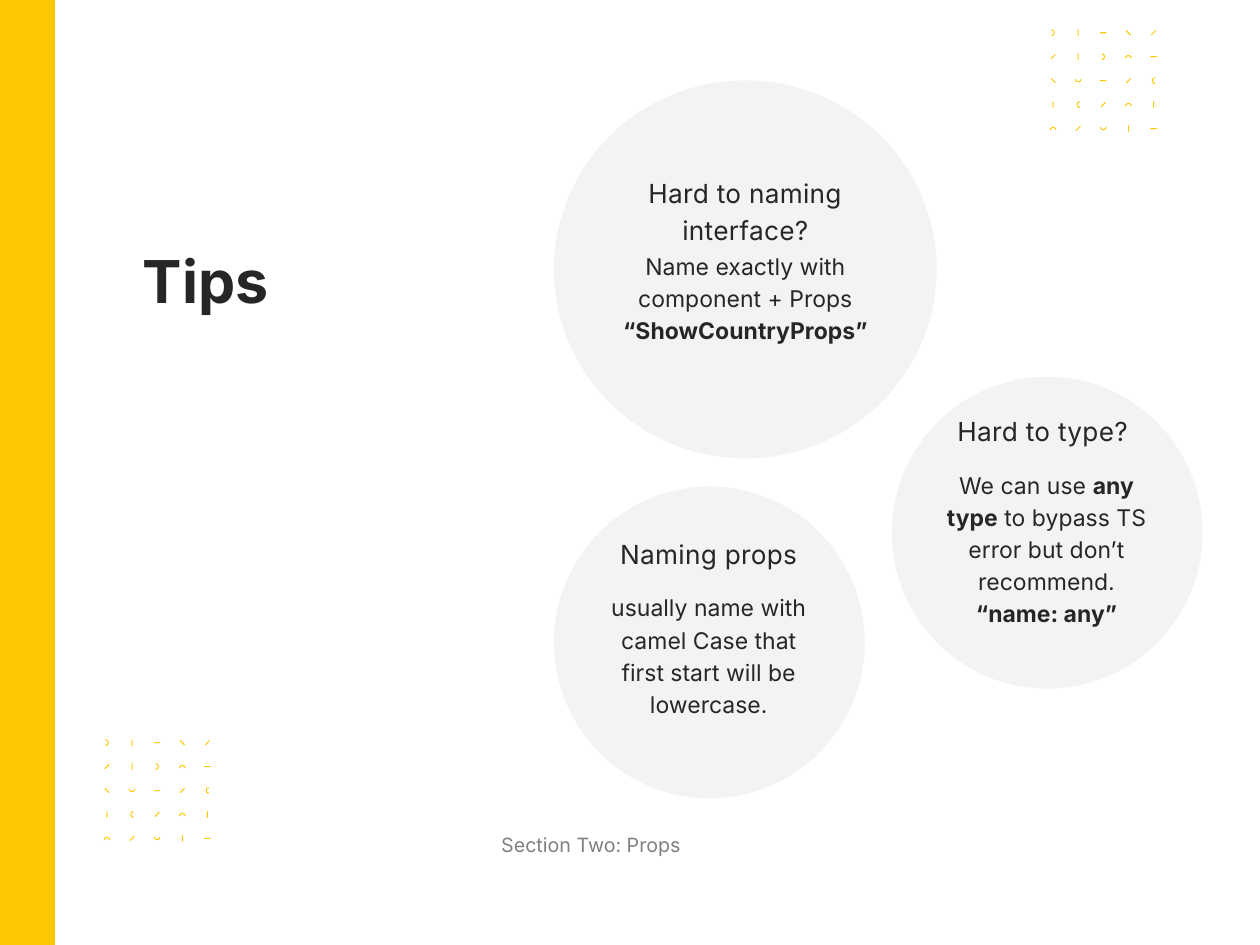
import math

from lxml import etree
from pptx import Presentation
from pptx.dml.color import RGBColor
from pptx.enum.shapes import MSO_SHAPE
from pptx.enum.text import MSO_ANCHOR, MSO_AUTO_SIZE, PP_ALIGN
from pptx.oxml.ns import qn
from pptx.util import Pt

OVAL, RECTANGLE = MSO_SHAPE.OVAL, MSO_SHAPE.RECTANGLE
TOP, MIDDLE = MSO_ANCHOR.TOP, MSO_ANCHOR.MIDDLE
LEFT, CENTER = PP_ALIGN.LEFT, PP_ALIGN.CENTER
TITLE_ONLY = 5

FONT = "Inter"
INK, GREY, YELLOW = "242725", "808080", "FEC800"

# Each tip: circle, heading and body places (left, top, width, height), then wording.
# Body paragraphs are lists of (text, bold) runs.
TIPS = [
    ((543.6, 229.7, 189.4, 190.1), (571.7, 249.8, 132.5, 20.2),
     (571.7, 284.4, 132.5, 99.4), "Hard to type? ",
     [[("We can use ", False), ("any type", True),
       (" to bypass TS error but don’t recommend.", False)],
      [("“name: any”", True)]]),
    ((337.7, 49, 233.3, 230.4), (369.4, 105.1, 169.9, 48.2),
     (369.4, 151.2, 169.9, 59), "Hard to naming interface?",
     [[("Name exactly with component + Props", False)],
      [("“ShowCountryProps”", True)]]),
    ((337.7, 296.6, 189.4, 190.1), (365.8, 324.7, 132.5, 21.6),
     (365.8, 359.3, 132.5, 79.2), "Naming props",
     [[("usually name with camel Case that first start will be lowercase.", False)]]),
]

# Confetti marks by row: strokes, and half rings bulging right, left, up or down.
CONFETTI = [")|-\\/", "/|)^-", "\\v-/(", "|(/^|", "^/v|-"]
STROKE_ANGLES = {"-": 0, "\\": 45, "|": 90, "/": 135}
RING_ANGLES = {")": 0, "v": 90, "(": 180, "^": 270}
COLUMN_PITCH, ROW_PITCH = 15.3, 14.6


def color(value):
    return RGBColor.from_string(value)


def place(shape, area):
    shape.left, shape.top, shape.width, shape.height = map(Pt, area)


def paint(shape, fill, opacity=None):
    """Solid fill without line or shadow; opacity is a percentage."""
    shape.shadow.inherit = False
    shape.fill.solid()
    shape.fill.fore_color.rgb = color(fill)
    shape.line.fill.background()
    if opacity is not None:
        tint = shape.fill._xPr.find(".//" + qn("a:srgbClr"))
        etree.SubElement(tint, qn("a:alpha"), val=str(opacity * 1000))


def add_filled(page, kind, area, fill, opacity=None):
    paint(page.shapes.add_shape(kind, *map(Pt, area)), fill, opacity)


def write(box, paragraphs, size, ink=INK, align=CENTER, leading=None, tracking=None):
    frame = box.text_frame
    for index, spans in enumerate(paragraphs):
        para = frame.paragraphs[0] if index == 0 else frame.add_paragraph()
        para.alignment = align
        if leading:
            para.line_spacing = Pt(leading)
        for text, bold in spans:
            span = para.add_run()
            span.text = text
            span.font.name, span.font.size, span.font.bold = FONT, Pt(size), bold
            span.font.color.rgb = color(ink)
            if tracking:
                span._r.get_or_add_rPr().set("spc", str(tracking))


def set_frame(box, anchor=TOP, insets=(0, 0)):
    frame = box.text_frame
    frame.word_wrap = True
    frame.auto_size = MSO_AUTO_SIZE.NONE
    frame.vertical_anchor = anchor
    frame.margin_left = frame.margin_right = Pt(insets[0])
    frame.margin_top = frame.margin_bottom = Pt(insets[1])


def add_text(page, area, paragraphs, size, anchor=TOP, insets=(0, 0), **style):
    box = page.shapes.add_textbox(*map(Pt, area))
    set_frame(box, anchor, insets)
    write(box, paragraphs, size, **style)


def add_title(page, text):
    title = page.shapes.title
    place(title, (87.1, 149, 193, 43.2))
    set_frame(title)
    write(title, [[(text, True)]], 36, align=LEFT, leading=43.2)


def mark_outline(mark):
    """Corner points of one confetti mark around its own centre."""
    if mark in STROKE_ANGLES:
        angle = STROKE_ANGLES[mark]
        points = [(-1.9, -0.3), (1.9, -0.3), (1.9, 0.3), (-1.9, 0.3)]
    else:
        angle = RING_ANGLES[mark]
        sweep = [math.radians(a) for a in range(-90, 91, 15)]
        ring = [(2, a) for a in sweep] + [(1.4, a) for a in reversed(sweep)]
        points = [(r * math.cos(a) - 1, r * math.sin(a)) for r, a in ring]
    cos, sin = math.cos(math.radians(angle)), math.sin(math.radians(angle))
    return [(x * cos - y * sin, x * sin + y * cos) for x, y in points]


def add_confetti(page, left, top):
    """One freeform grid of marks; left and top are the first mark's centre."""
    outlines = []
    for row, marks in enumerate(CONFETTI):
        for column, mark in enumerate(marks):
            x, y = left + column * COLUMN_PITCH, top + row * ROW_PITCH
            outlines.append([(Pt(x + dx), Pt(y + dy)) for dx, dy in mark_outline(mark)])
    builder = page.shapes.build_freeform(*outlines[0][0])
    for index, points in enumerate(outlines):
        if index:
            builder.move_to(*points[0])
        builder.add_line_segments(points[1:], close=True)
    paint(builder.convert_to_shape(), YELLOW)


def main():
    deck = Presentation()
    deck.slide_width, deck.slide_height = Pt(768), Pt(576)
    page = deck.slides.add_slide(deck.slide_layouts[TITLE_ONLY])

    for circle, *_ in TIPS:
        add_filled(page, OVAL, circle, INK, opacity=5)
    add_title(page, "Tips")
    for _, heading_area, body_area, heading, body in TIPS:
        add_text(page, heading_area, [[(heading, False)]], 16, leading=22.4, tracking=20)
        add_text(page, body_area, body, 14, leading=19.6)

    add_confetti(page, 641.9, 20)
    add_confetti(page, 65.2, 452.7)
    add_filled(page, RECTANGLE, (0, 0, 33.5, 576), YELLOW)
    add_text(page, (246.2, 500.4, 228.2, 28.8), [[("Section Two: Props", False)]], 12,
             anchor=MIDDLE, insets=(7.2, 3.6), ink=GREY)
    deck.save("out.pptx")


if __name__ == "__main__":
    main()
